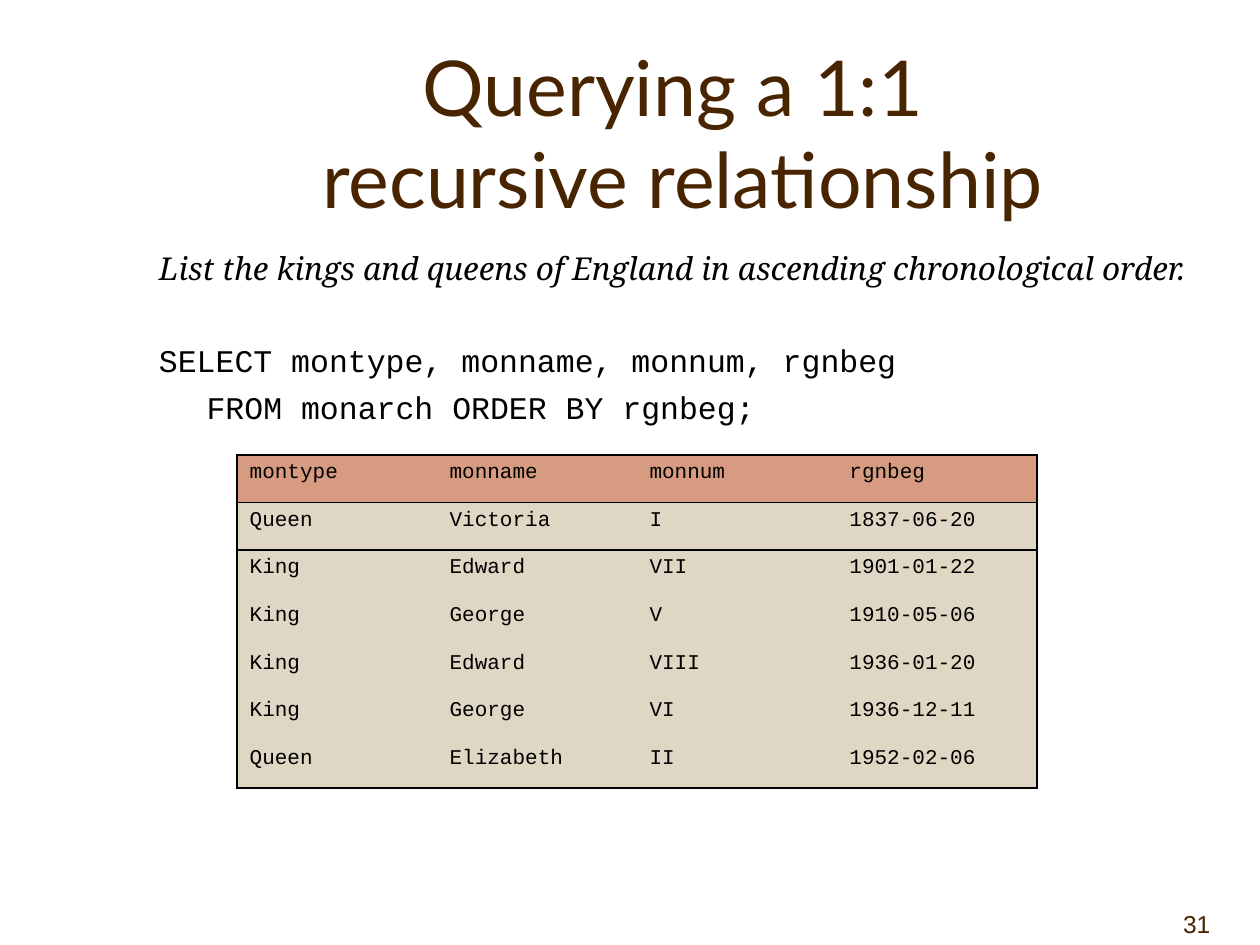
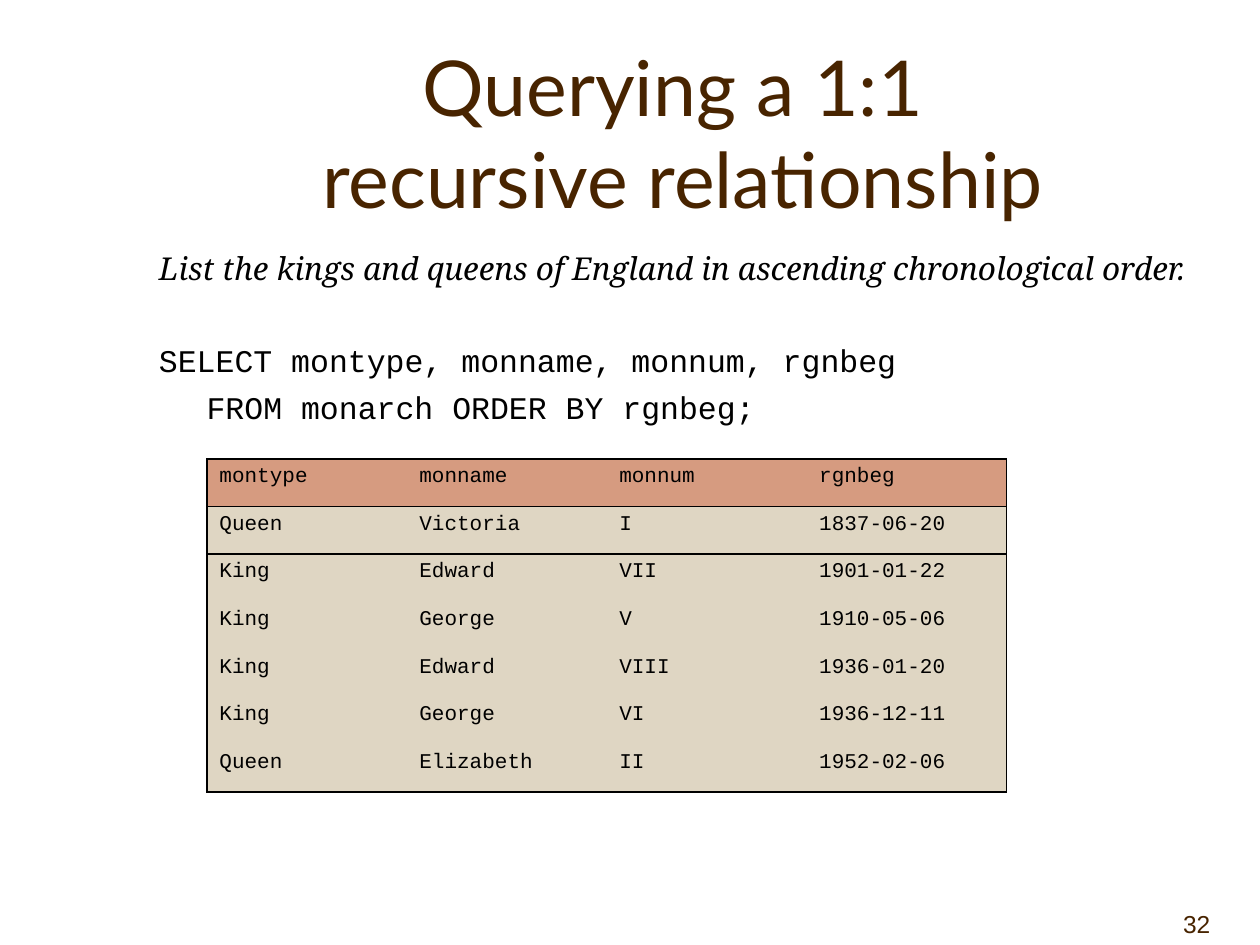
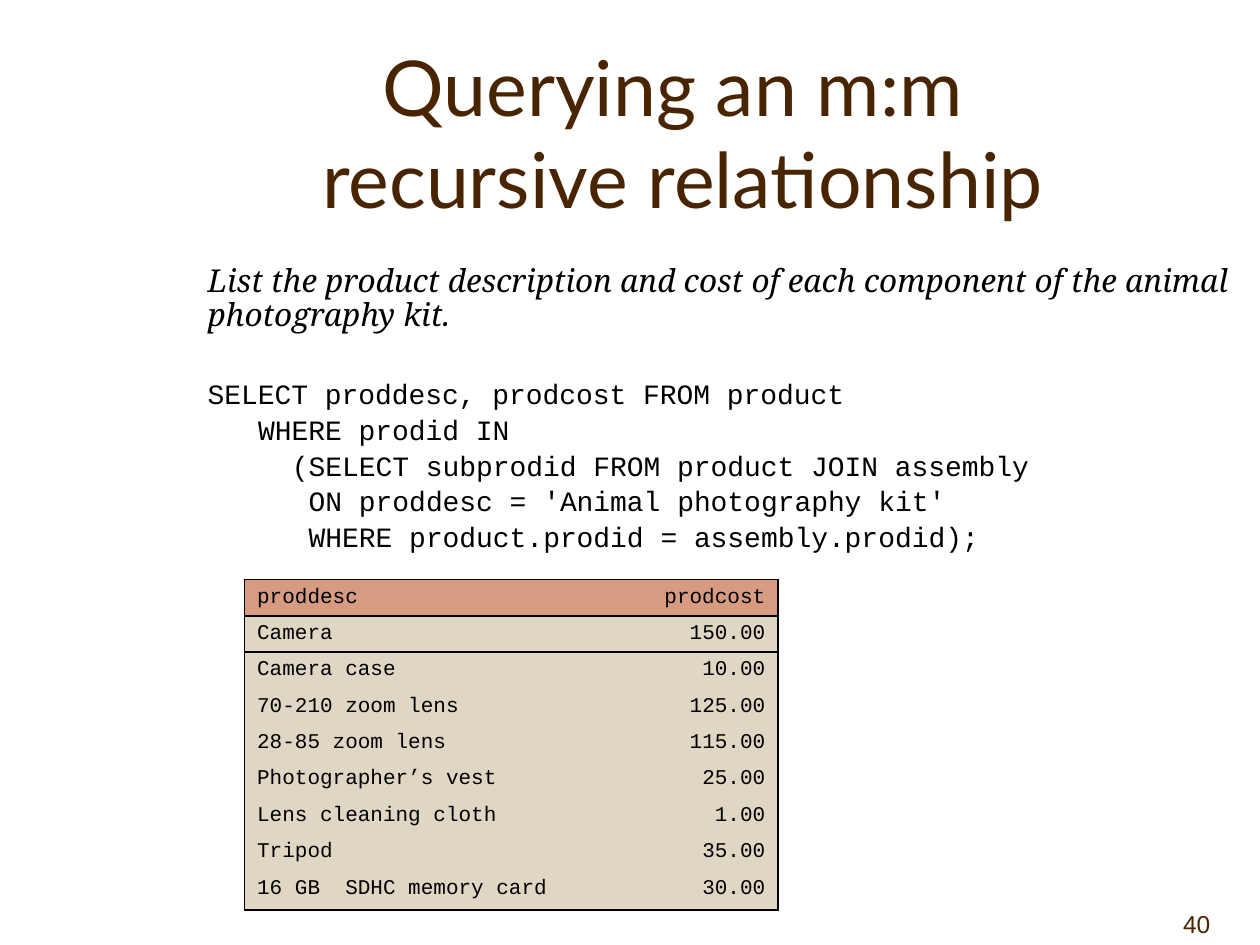
import pptx
import pptx.util
import pptx.dml.color
import pptx.enum.text
import pptx.oxml.ns
from lxml import etree

Cm = pptx.util.Cm
Pt = pptx.util.Pt
RGBColor = pptx.dml.color.RGBColor
Align = pptx.enum.text.PP_ALIGN
Anchor = pptx.enum.text.MSO_ANCHOR
Fit = pptx.enum.text.MSO_AUTO_SIZE
qn = pptx.oxml.ns.qn

BROWN = RGBColor(0x48, 0x24, 0x00)
BLACK = RGBColor(0x00, 0x00, 0x00)
CLAY = RGBColor(0xD6, 0x9B, 0x80)
SAND = RGBColor(0xDF, 0xD6, 0xC3)

HEAD, QUOTE, CODE, PLAIN = "Lato", "Noto Serif", "Courier New", "Arial"
BARE_STYLE = "{2D5ABB26-0587-4C30-8999-92F81FD0307C}"
HANG = 0.96


def put(para, text, font=CODE, size=12, color=BLACK, italic=False,
        align=Align.LEFT, before=0, line=None):
    """Write text into a paragraph and format it."""
    para.text = text
    para.alignment = align
    para.space_before = Pt(before)
    if line:
        para.line_spacing = Pt(line)
    for run in para.runs:
        run.font.name = font
        run.font.size = Pt(size)
        run.font.color.rgb = color
        run.font.italic = italic


def inset(para, left, first=0):
    """Set a paragraph's left and first-line indents and drop its bullet."""
    props = para._p.get_or_add_pPr()
    props.set("marL", str(Cm(left)))
    props.set("indent", str(Cm(first)))
    etree.SubElement(props, qn("a:buNone"))


def edge(cell, sides):
    """Draw black one-point borders on the given sides, in L R T B order."""
    props = cell._tc.get_or_add_tcPr()
    for side in sides:
        rule = etree.SubElement(props, qn("a:ln" + side), w=str(Pt(1)))
        fill = etree.SubElement(rule, qn("a:solidFill"))
        etree.SubElement(fill, qn("a:srgbClr"), val=str(BLACK))


class Deck:
    """Holds the presentation, its style and the current slide."""

    def __init__(self):
        """Start an empty 4:3 deck."""
        self.file = pptx.Presentation()
        self.file.slide_width = Cm(25.4)
        self.file.slide_height = Cm(19.05)
        self.slide = None

    def place(self, shape, left, top, width, height):
        """Move a shape and return its text frame, free of autofit."""
        shape.left, shape.top = Cm(left), Cm(top)
        shape.width, shape.height = Cm(width), Cm(height)
        frame = shape.text_frame
        frame.word_wrap = True
        frame.auto_size = Fit.NONE
        return frame

    def start(self, title, number):
        """Add a slide with its title and page number."""
        self.slide = self.file.slides.add_slide(self.file.slide_layouts[1])
        frame = self.place(self.slide.shapes.title, 2.97, 1.07, 21.59, 3.18)
        frame.vertical_anchor = Anchor.MIDDLE
        put(frame.paragraphs[0], title, font=HEAD, size=44, color=BROWN,
            align=Align.CENTER)
        box = self.slide.shapes.add_textbox(0, 0, 0, 0)
        frame = self.place(box, 22.86, 17.78, 2.54, 1.27)
        frame.vertical_anchor = Anchor.BOTTOM
        frame.margin_right = Cm(1)
        put(frame.paragraphs[0], str(number), font=PLAIN, size=14,
            color=BROWN, align=Align.RIGHT)

    def body(self, area, lines):
        """Fill the body with (text, left, first, format) lines."""
        frame = self.place(self.slide.placeholders[1], *area)
        for i, (text, left, first, form) in enumerate(lines):
            para = frame.add_paragraph() if i else frame.paragraphs[0]
            put(para, text, **form)
            inset(para, left, first)

    def table(self, left, top, widths, heights, rows, right=()):
        """Add a framed table; columns listed in right are right-aligned."""
        high, wide = len(rows), len(widths)
        frame = self.slide.shapes.add_table(
            high, wide, Cm(left), Cm(top), Cm(sum(widths)), Cm(sum(heights)))
        grid = frame.table
        grid.first_row = grid.horz_banding = False
        grid._tbl.tblPr.find(qn("a:tableStyleId")).text = BARE_STYLE
        for col, width in zip(grid.columns, widths):
            col.width = Cm(width)
        for row, height in zip(grid.rows, heights):
            row.height = Cm(height)
        for r, row in enumerate(rows):
            for c, text in enumerate(row):
                cell = grid.cell(r, c)
                put(cell.text_frame.paragraphs[0], text,
                    align=Align.RIGHT if c in right else Align.LEFT)
                shown = {"L": c == 0, "R": c == wide - 1,
                         "T": r <= 1, "B": r in (0, high - 1)}
                edge(cell, [side for side in shown if shown[side]])
                cell.fill.solid()
                cell.fill.fore_color.rgb = SAND if r else CLAY


MONARCHS = [
    ("montype", "monname", "monnum", "rgnbeg"),
    ("Queen", "Victoria", "I", "1837-06-20"),
    ("King", "Edward", "VII", "1901-01-22"),
    ("King", "George", "V", "1910-05-06"),
    ("King", "Edward", "VIII", "1936-01-20"),
    ("King", "George", "VI", "1936-12-11"),
    ("Queen", "Elizabeth", "II", "1952-02-06"),
]
PARTS = [
    ("proddesc", "prodcost"),
    ("Camera", "150.00"),
    ("Camera case", "10.00"),
    ("70-210 zoom lens", "125.00"),
    ("28-85 zoom lens", "115.00"),
    ("Photographer’s vest", "25.00"),
    ("Lens cleaning cloth", "1.00"),
    ("Tripod", "35.00"),
    ("16 GB  SDHC memory card", "30.00"),
]
# Each clause goes with its indent in characters.
QUERY = [
    ("SELECT proddesc, prodcost FROM product", 0),
    ("WHERE prodid IN", 3),
    ("(SELECT subprodid FROM product JOIN assembly", 5),
    ("ON proddesc = 'Animal photography kit'", 6),
    ("WHERE product.prodid = assembly.prodid);", 6),
]
CHAR = 0.34  # width in cm of one 16-point code character

deck = Deck()
ask = dict(font=QUOTE, size=18, italic=True)

for number, left, top in ((31, 4.78, 9.17), (32, 4.17, 9.25)):
    deck.start("Querying a 1:1 \vrecursive relationship", number)
    deck.body((2.95, 4.9, 21.59, 11.43), [
        ("List the kings and queens of England in ascending "
         "chronological order.", HANG, -HANG, ask),
        ("SELECT montype, monname, monnum, rgnbeg", HANG, -HANG,
         dict(size=18, before=31)),
        ("FROM monarch ORDER BY rgnbeg;", HANG, 0, dict(size=18, before=5)),
    ])
    deck.table(left, top, [4.03] * 4, [0.96] * len(MONARCHS), MONARCHS)

deck.start("Querying an m:m \vrecursive relationship", 40)
lines = [("List the product description and cost of each component of the "
          "animal photography kit.", HANG, 0, dict(ask, line=19.5))]
for i, (text, chars) in enumerate(QUERY):
    form = dict(size=16, line=16.5, before=4 if i else 27.5)
    lines.append((text, HANG + chars * CHAR, 0, form))
deck.body((2.97, 5.21, 23.62, 6.17), lines)
deck.table(4.93, 11.68, [7.65, 3.1], [0.73] * 8 + [0.8], PARTS, right=(1,))

deck.file.save("out.pptx")
